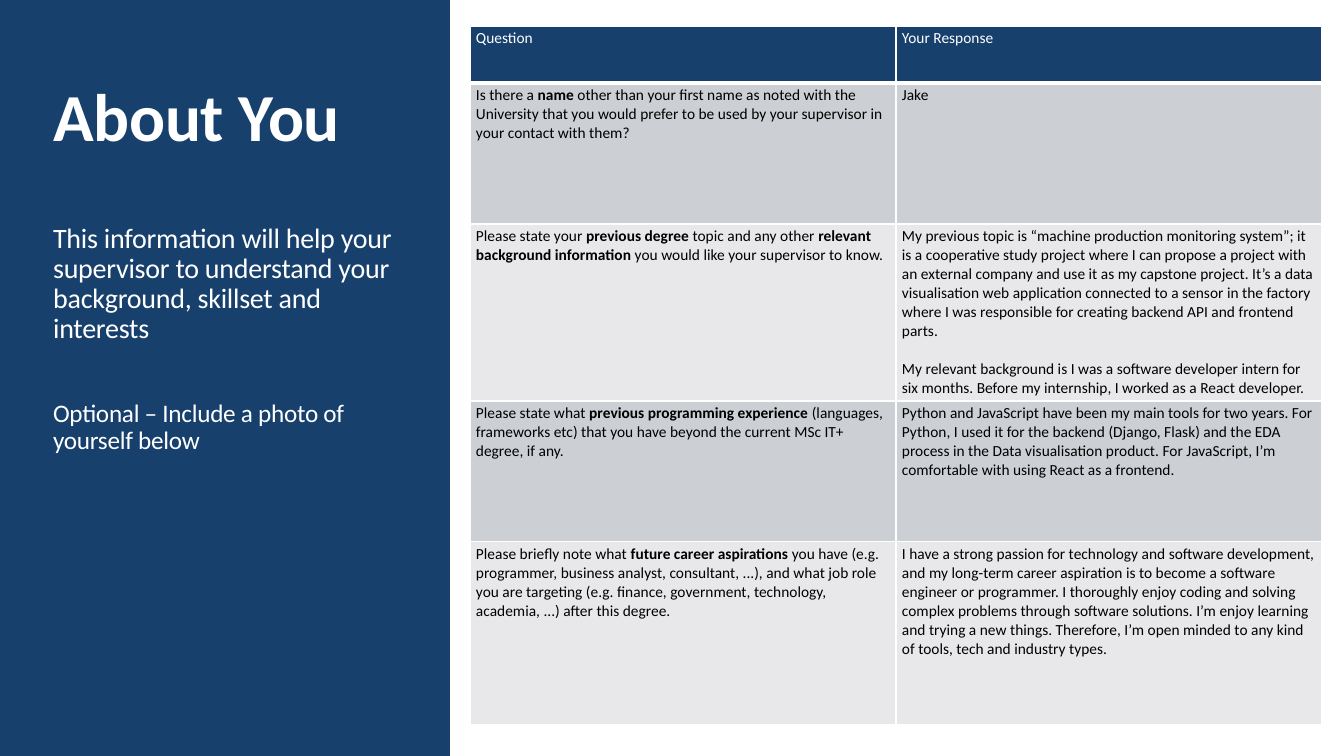
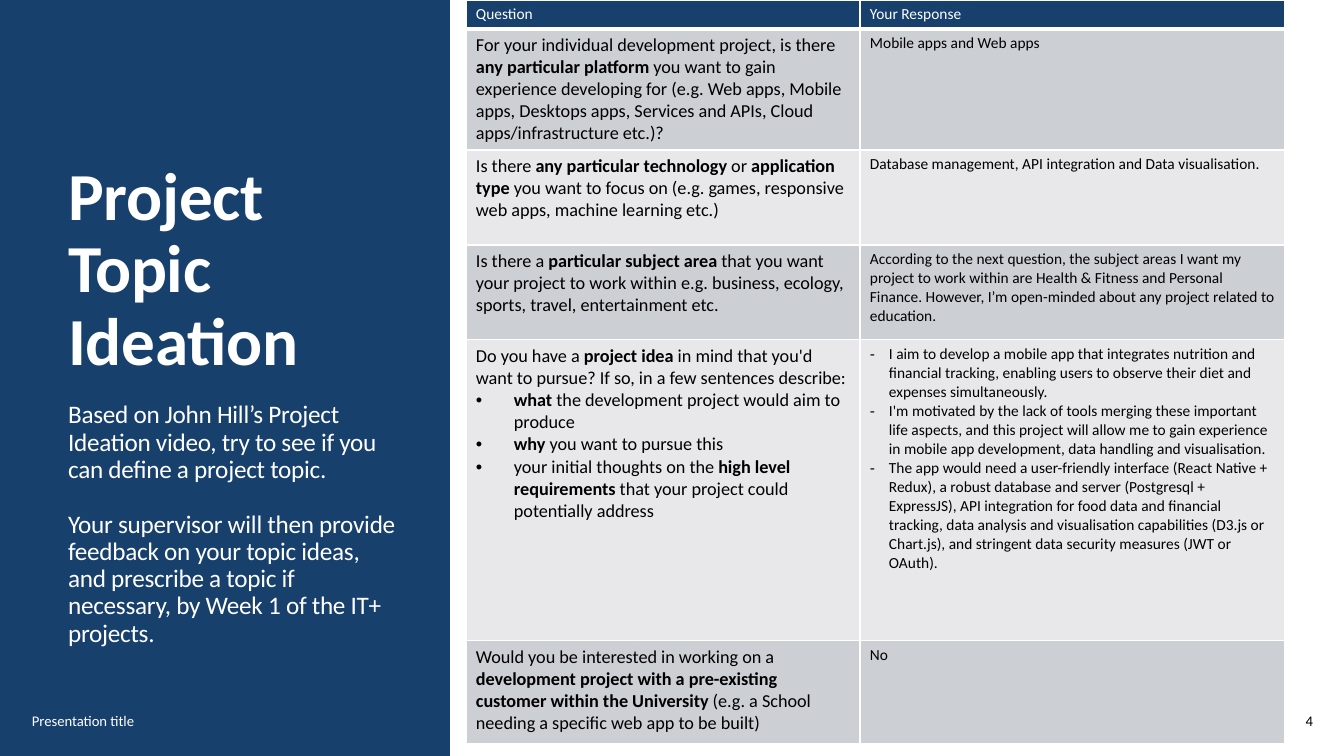
from dataclasses import dataclass

from lxml import etree
from pptx import Presentation
from pptx.dml.color import RGBColor
from pptx.enum.shapes import MSO_SHAPE
from pptx.enum.text import MSO_ANCHOR, MSO_AUTO_SIZE, PP_ALIGN
from pptx.oxml.ns import qn
from pptx.util import Emu, Pt

RECTANGLE = MSO_SHAPE.RECTANGLE
TOP, MIDDLE, BOTTOM = MSO_ANCHOR.TOP, MSO_ANCHOR.MIDDLE, MSO_ANCHOR.BOTTOM
LEFT, RIGHT = PP_ALIGN.LEFT, PP_ALIGN.RIGHT
NO_FIT = MSO_AUTO_SIZE.NONE
TITLE_AND_CONTENT = 1
PAGE_WIDTH, PAGE_HEIGHT, PANEL_WIDTH = 1344, 756, 450


@dataclass(frozen=True)
class Theme:
    font: str = "Calibri"
    navy: str = "17406D"
    white: str = "FFFFFF"
    black: str = "000000"
    bands: tuple = ("CCCFD4", "E8E8EB")
    title: float = 48
    lead: float = 20
    body: float = 18
    question: float = 13
    small: float = 11
    footer: float = 10.5
    tight: float = 0.9
    tracking: int = -20
    rule: float = 1
    header_rule: float = 3


@dataclass(frozen=True)
class Line:
    text: str
    size: float
    gap: float = 0
    bullet: str = ""
    indent: int = 0


THEME = Theme()


def px(length):
    return Emu(round(length * 914400 / 100.8))


def small(text, **options):
    return Line(text, THEME.small, **options)


def question(text, **options):
    return Line(text, THEME.question, **options)


class Deck:
    def __init__(self, theme):
        self.theme = theme
        self.deck = Presentation()
        self.deck.slide_width = px(PAGE_WIDTH)
        self.deck.slide_height = px(PAGE_HEIGHT)
        self.page = None

    def add_page(self):
        layout = self.deck.slide_layouts[TITLE_AND_CONTENT]
        self.page = self.deck.slides.add_slide(layout)
        panel = self.page.shapes.add_shape(
            RECTANGLE, 0, 0, px(PANEL_WIDTH), px(PAGE_HEIGHT))
        panel.shadow.inherit = False
        panel.fill.solid()
        panel.fill.fore_color.rgb = RGBColor.from_string(self.theme.navy)
        panel.line.fill.background()
        self.page.shapes._spTree.insert(2, panel._element)

    def set_bullet(self, para, line):
        properties = para._p.get_or_add_pPr()
        indent = px(line.indent)
        properties.set("marL", str(indent))
        properties.set("indent", str(-indent))
        if line.bullet:
            etree.SubElement(properties, qn("a:buFont")).set("typeface", "Arial")
            etree.SubElement(properties, qn("a:buChar")).set("char", line.bullet)
        else:
            etree.SubElement(properties, qn("a:buNone"))

    def add_lines(self, frame, lines, color, align=LEFT, spacing=1.0, tracking=0):
        for number, line in enumerate(lines):
            para = frame.add_paragraph() if number else frame.paragraphs[0]
            self.set_bullet(para, line)
            para.alignment = align
            para.line_spacing = spacing
            para.space_before = Pt(line.gap)
            para.space_after = Pt(0)
            for part, text in enumerate(line.text.split("**")):
                if not text:
                    continue
                span = para.add_run()
                span.text = text
                span.font.name = self.theme.font
                span.font.size = Pt(line.size)
                span.font.bold = part % 2 == 1
                span.font.color.rgb = RGBColor.from_string(color)
                if tracking:
                    span._r.get_or_add_rPr().set("spc", str(tracking))

    def place(self, box, left, top, width, height, anchor):
        box.left, box.top = px(left), px(top)
        box.width, box.height = px(width), px(height)
        frame = box.text_frame
        frame.auto_size = NO_FIT
        frame.word_wrap = True
        frame.vertical_anchor = anchor
        return frame

    def add_intro(self, heading, lines, left, width, top, split, body_top, bottom):
        theme = self.theme
        title = self.place(self.page.shapes.title, left, top, width,
                           split - top, BOTTOM)
        body = self.place(self.page.placeholders[1], left, body_top, width,
                          bottom - body_top, TOP)
        heading_lines = [Line(f"**{heading}**", theme.title)]
        for frame, content in ((title, heading_lines), (body, lines)):
            self.add_lines(frame, content, theme.white, spacing=theme.tight,
                           tracking=theme.tracking)

    def add_footer(self, text, left, width, color, align=LEFT):
        box = self.page.shapes.add_textbox(0, 0, 0, 0)
        frame = self.place(box, left, 701, width, 40, MIDDLE)
        self.add_lines(frame, [Line(text, self.theme.footer)], color, align)

    def set_borders(self, cell, bottom):
        properties = cell._tc.get_or_add_tcPr()
        rule = self.theme.rule
        for side, weight in (("L", rule), ("R", rule), ("T", rule), ("B", bottom)):
            edge = etree.SubElement(properties, qn(f"a:ln{side}"))
            edge.set("w", str(Pt(weight)))
            fill = etree.SubElement(edge, qn("a:solidFill"))
            etree.SubElement(fill, qn("a:srgbClr")).set("val", self.theme.white)

    def add_table(self, left, top, columns, heights, rows, inset):
        theme = self.theme
        rows = [([small("Question")], [small("Your Response")])] + rows
        table = self.page.shapes.add_table(
            len(rows), len(columns), px(left), px(top),
            px(sum(columns)), px(sum(heights))).table
        table.first_row = False
        table.horz_banding = False
        for column, width in zip(table.columns, columns):
            column.width = px(width)
        for number, (row, height, contents) in enumerate(
                zip(table.rows, heights, rows)):
            row.height = px(height)
            header = number == 0
            fill = theme.navy if header else theme.bands[(number - 1) % 2]
            color = theme.white if header else theme.black
            for cell, lines in zip(row.cells, contents):
                self.set_borders(cell, theme.header_rule if header else theme.rule)
                cell.fill.solid()
                cell.fill.fore_color.rgb = RGBColor.from_string(fill)
                cell.margin_left = cell.margin_right = px(inset)
                cell.margin_top = cell.margin_bottom = px(inset // 2)
                self.add_lines(cell.text_frame, lines, color)


ABOUT_ROWS = [
    ([small("Is there a **name** other than your first name as noted with the "
            "University that you would prefer to be used by your supervisor in "
            "your contact with them?")],
     [small("Jake")]),
    ([small("Please state your **previous degree** topic and any other **relevant "
            "background information** you would like your supervisor to know.")],
     [small("My previous topic is “machine production monitoring system”; it is a "
            "cooperative study project where I can propose a project with an "
            "external company and use it as my capstone project. It’s a data "
            "visualisation web application connected to a sensor in the factory "
            "where I was responsible for creating backend API and frontend parts."),
      small("My relevant background is I was a software developer intern for six "
            "months. Before my internship, I worked as a React developer.",
            gap=13.4)]),
    ([small("Please state what **previous programming experience** (languages, "
            "frameworks etc) that you have beyond the current MSc IT+ degree, "
            "if any.")],
     [small("Python and JavaScript have been my main tools for two years. For "
            "Python, I used it for the backend (Django, Flask) and the EDA process "
            "in the Data visualisation product. For JavaScript, I’m comfortable "
            "with using React as a frontend.")]),
    ([small("Please briefly note what **future career aspirations** you have (e.g. "
            "programmer, business analyst, consultant, ...), and what job role you "
            "are targeting (e.g. finance, government, technology, academia, ...) "
            "after this degree.")],
     [small("I have a strong passion for technology and software development, and "
            "my long-term career aspiration is to become a software engineer or "
            "programmer. I thoroughly enjoy coding and solving complex problems "
            "through software solutions. I’m enjoy learning and trying a new "
            "things. Therefore, I’m open minded to any kind of tools, tech and "
            "industry types.")]),
]

DOT = {"bullet": "•", "indent": 38}
DASH = {"bullet": "-", "indent": 19}

IDEATION_ROWS = [
    ([question("For your individual development project, is there **any particular "
               "platform** you want to gain experience developing for (e.g. Web "
               "apps, Mobile apps, Desktops apps, Services and APIs, Cloud "
               "apps/infrastructure etc.)?")],
     [small("Mobile apps and Web apps")]),
    ([question("Is there **any particular technology** or **application type** you "
               "want to focus on (e.g. games, responsive web apps, machine "
               "learning etc.)")],
     [small("Database management, API integration and Data visualisation.")]),
    ([question("Is there a **particular subject area** that you want your project "
               "to work within e.g. business, ecology, sports, travel, "
               "entertainment etc.")],
     [small("According to the next question, the subject areas I want my project "
            "to work within are Health & Fitness and Personal Finance. However, "
            "I’m open-minded about any project related to education.")]),
    ([question("Do you have a **project idea** in mind that you'd want to pursue? "
               "If so, in a few sentences describe:"),
      question("**what** the development project would aim to produce", **DOT),
      question("**why** you want to pursue this", **DOT),
      question("your initial thoughts on the **high level requirements** that your "
               "project could potentially address", **DOT)],
     [small("I aim to develop a mobile app that integrates nutrition and financial "
            "tracking, enabling users to observe their diet and expenses "
            "simultaneously.", **DASH),
      small("I'm motivated by the lack of tools merging these important life "
            "aspects, and this project will allow me to gain experience in mobile "
            "app development, data handling and visualisation.", **DASH),
      small("The app would need a user-friendly interface (React Native + Redux), "
            "a robust database and server (Postgresql + ExpressJS), API "
            "integration for food data and financial tracking, data analysis and "
            "visualisation capabilities (D3.js or Chart.js), and stringent data "
            "security measures (JWT or OAuth).", **DASH)]),
    ([question("Would you be interested in working on a **development project with "
               "a pre-existing customer within the University** (e.g. a School "
               "needing a specific web app to be built)")],
     [small("No")]),
]


def main():
    deck = Deck(THEME)

    deck.add_page()
    deck.add_intro("About You", [
        Line("This information will help your supervisor to understand your "
             "background, skillset and interests", THEME.lead),
        Line("Optional – Include a photo of yourself below", THEME.body, gap=39.6),
    ], left=43, width=371, top=40, split=161, body_top=219, bottom=463)
    deck.add_table(470, 26, (426, 426), (57, 141, 177, 141, 183), ABOUT_ROWS, 6)

    deck.add_page()
    deck.add_intro("Project Topic Ideation", [
        Line("Based on John Hill’s Project Ideation video, try to see if you can "
             "define a project topic.", THEME.body),
        Line("Your supervisor will then provide feedback on your topic ideas, and "
             "prescribe a topic if necessary, by Week 1 of the IT+ projects.",
             THEME.body, gap=19.8),
    ], left=58, width=354, top=86, split=385, body_top=397, bottom=655)
    deck.add_footer("Presentation title", 22, 413, THEME.white)
    deck.add_footer("4", 1253, 70, THEME.black, RIGHT)
    deck.add_table(466, 0, (394, 425), (29, 121, 95, 95, 301, 103),
                   IDEATION_ROWS, 10)

    deck.deck.save("out.pptx")


if __name__ == "__main__":
    main()
